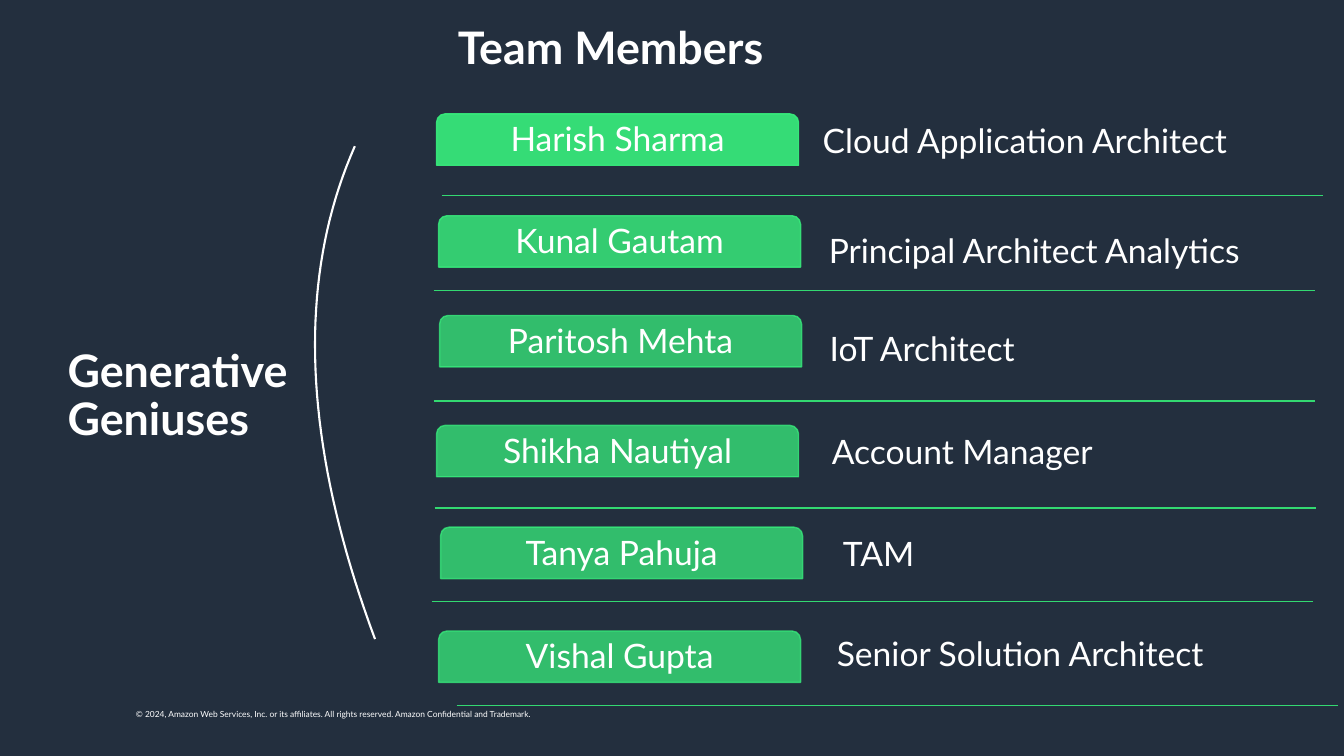
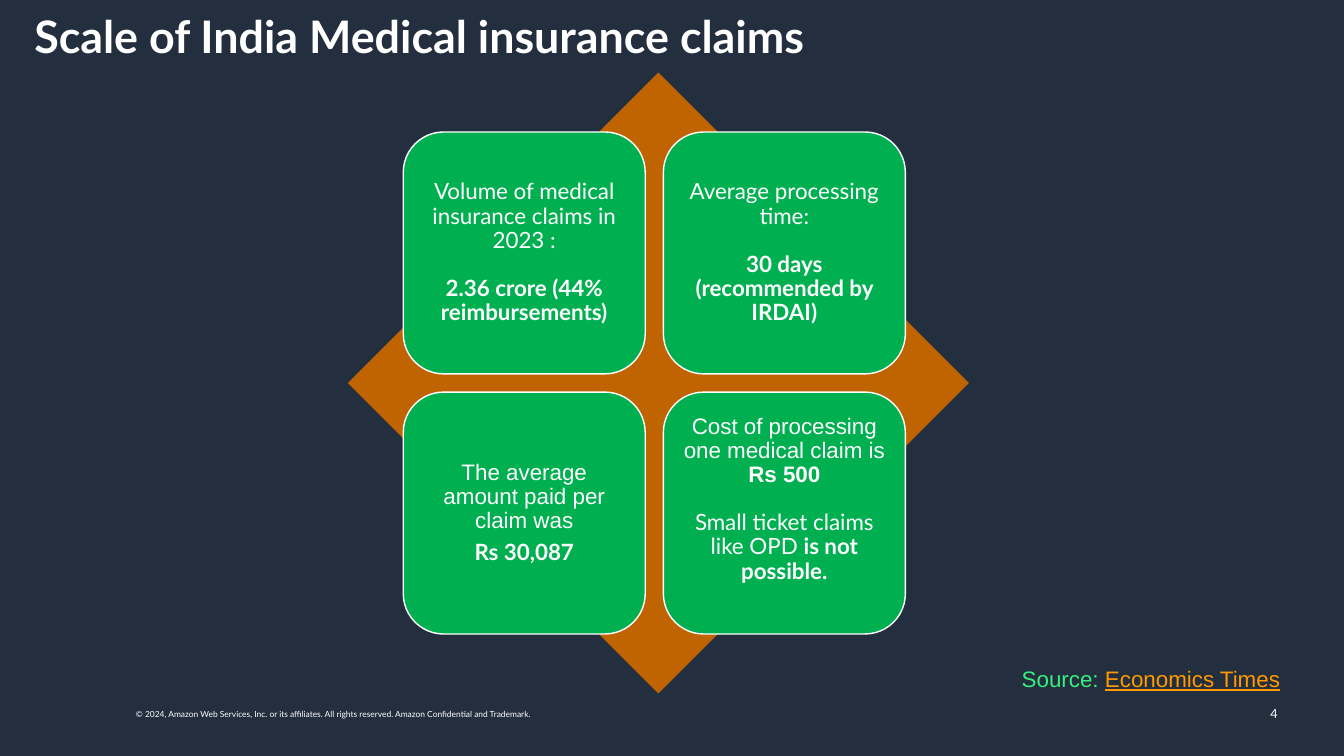
from lxml import etree
from pptx import Presentation
from pptx.dml.color import RGBColor
from pptx.enum.shapes import MSO_CONNECTOR, MSO_SHAPE as SHAPE
from pptx.enum.text import MSO_ANCHOR as ANCHOR, PP_ALIGN as ALIGN
from pptx.oxml.ns import qn
from pptx.util import Inches, Pt

NAVY = RGBColor(0x23, 0x2F, 0x3E)
WHITE = RGBColor(0xFF, 0xFF, 0xFF)
MINT = RGBColor(0x38, 0xEF, 0x7D)
RULE_GREEN = RGBColor(0x33, 0xD9, 0x71)
CARD_GREEN = RGBColor(0x00, 0xB0, 0x50)
RUST = RGBColor(0xBF, 0x64, 0x00)
ORANGE = RGBColor(0xFF, 0x99, 0x00)
LATO, ARIAL = "Lato", "Arial"
COPYRIGHT = ("© 2024, Amazon Web Services, Inc. or its affiliates. "
             "All rights reserved. Amazon Confidential and Trademark.")


def write(shape, paragraphs, size, align=ALIGN.LEFT, anchor=ANCHOR.TOP,
          inset=(0.05, 0.05, 0.05, 0.05), spacing=0.9, gap=0):
    frame = shape.text_frame
    frame.word_wrap = True
    frame.vertical_anchor = anchor
    frame.margin_left, frame.margin_top, frame.margin_right, frame.margin_bottom = map(Inches, inset)
    for index, pieces in enumerate(paragraphs):
        paragraph = frame.add_paragraph() if index else frame.paragraphs[0]
        paragraph.alignment = align
        paragraph.line_spacing = spacing
        if index:
            paragraph.space_before = Pt(gap)
        for text, font, bold, colour in pieces:
            run = paragraph.add_run()
            run.text = text
            run.font.name = font
            run.font.size = Pt(size)
            run.font.bold = bold
            run.font.color.rgb = colour
    return frame


def add_figure(slide, kind, left, top, width, height, fill, line=None):
    figure = slide.shapes.add_shape(kind, Inches(left), Inches(top), Inches(width), Inches(height))
    figure.shadow.inherit = False
    figure.fill.solid()
    figure.fill.fore_color.rgb = fill
    if line is None:
        figure.line.fill.background()
    else:
        figure.line.color.rgb = line
        figure.line.width = Pt(1)
    return figure


prs = Presentation()
prs.slide_width, prs.slide_height = Inches(13.33), Inches(7.5)
master_fill = prs.slide_master.background.fill
master_fill.solid()
master_fill.fore_color.rgb = NAVY
team, claims = [prs.slides.add_slide(prs.slide_layouts[6]) for _ in range(2)]

for slide in (team, claims):
    footer = slide.shapes.add_textbox(Inches(1.25), Inches(6.99), Inches(4.31), Inches(0.2))
    write(footer, [[(COPYRIGHT, LATO, False, WHITE)]], 6, inset=(0.1, 0.05, 0.1, 0.05), spacing=1)

headings = [
    (team, "Generative Geniuses", 0.67, 3.41, 4, 1.07),
    (team, "Team Members", 4.54, 0.21, 4.25, 0.59),
    (claims, "Scale of India Medical insurance claims", 0.34, 0.1, 12, 0.59),
]
for slide, text, *place in headings:
    heading = slide.shapes.add_textbox(*map(Inches, place))
    write(heading, [[(text, LATO, True, WHITE)]], 32, inset=(0, 0.05, 0, 0.05))

members = [
    ("Harish Sharma", 4.33, 1.13, 90, "Cloud Application Architect", 8.11, 1.13, 4.38, 1.94),
    ("Kunal Gautam", 4.35, 2.14, 82, "Principal Architect Analytics", 8.17, 2.23, 4.3, 2.88),
    ("Paritosh Mehta", 4.36, 3.13, 74, "IoT Architect", 8.18, 3.2, 4.3, 3.98),
    ("Shikha Nautiyal", 4.33, 4.22, 74, "Account Manager", 8.2, 4.22, 4.31, 5.04),
    ("Tanya Pahuja", 4.37, 5.23, 74, "TAM", 8.31, 5.23, 4.28, 5.97),
    ("Vishal Gupta", 4.35, 6.26, 74, "Senior Solution Architect", 8.25, 6.22, 4.53, 7),
]
for name, tab_left, tab_top, opacity, role, role_left, role_top, rule_left, rule_y in members:
    rule = team.shapes.add_connector(MSO_CONNECTOR.STRAIGHT, Inches(rule_left), Inches(rule_y),
                                     Inches(rule_left + 8.74), Inches(rule_y))
    rule.line.color.rgb = RULE_GREEN
    rule.line.width = Pt(1)
    etree.SubElement(rule._element.spPr, qn("a:effectLst"))

    tab = add_figure(team, SHAPE.ROUND_2_SAME_RECTANGLE, tab_left, tab_top, 3.59, 0.51, MINT, MINT)
    for colour in tab._element.spPr.iter(qn("a:srgbClr")):
        etree.SubElement(colour, qn("a:alpha")).set("val", str(opacity * 1000))
    write(tab, [[(name, LATO, False, WHITE)]], 24, ALIGN.CENTER, ANCHOR.MIDDLE)

    role_label = team.shapes.add_textbox(Inches(role_left), Inches(role_top), Inches(4.6), Inches(0.51))
    write(role_label, [[(role, LATO, False, WHITE)]], 24, anchor=ANCHOR.BOTTOM)

bracket_top, bracket_bend, bracket_bottom = (3.52, 1.45), (2.64, 3.44), (3.72, 6.34)
STEPS = 40
bracket_points = []
for step in range(STEPS + 1):
    t = step / STEPS
    bracket_points.append(tuple(
        Inches((1 - t) ** 2 * start + 2 * t * (1 - t) * bend + t ** 2 * end)
        for start, bend, end in zip(bracket_top, bracket_bend, bracket_bottom)))
outline = team.shapes.build_freeform(*bracket_points[0])
outline.add_line_segments(bracket_points[1:], close=False)
bracket = outline.convert_to_shape()
bracket.shadow.inherit = False
bracket.fill.background()
bracket.line.color.rgb = WHITE
bracket.line.width = Pt(1.5)

add_figure(claims, SHAPE.DIAMOND, 3.45, 0.72, 6.16, 6.16, RUST)

facts = [
    ([[("Volume of medical insurance claims in 2023 :", LATO, False, WHITE)],
      [("2.36 crore (44% reimbursements)", LATO, True, WHITE)]], 17, 0.07),
    ([[("Average processing time:", LATO, False, WHITE)],
      [("30 days (recommended by IRDAI)", LATO, True, WHITE)]], 17, 0.07),
    ([[("The average amount paid per claim was", ARIAL, False, WHITE)],
      [("Rs 30,087", LATO, True, WHITE)]], 5.6, 0.07),
    ([[("Cost of processing one medical claim is ", ARIAL, False, WHITE),
       ("Rs 500", ARIAL, True, WHITE)],
      [("Small ticket claims like OPD ", LATO, False, WHITE),
       ("is not possible.", LATO, True, WHITE)]], 17, 0.34),
]
for index, (paragraphs, gap, bottom) in enumerate(facts):
    row, column = divmod(index, 2)
    card = add_figure(claims, SHAPE.ROUNDED_RECTANGLE, 4 + 2.58 * column, 1.31 + 2.58 * row,
                      2.4, 2.4, CARD_GREEN, WHITE)
    write(card, paragraphs, 16, ALIGN.CENTER, ANCHOR.MIDDLE, (0.07, 0.07, 0.07, bottom), gap=gap)

source = claims.shapes.add_textbox(Inches(9.63), Inches(6.58), Inches(3.57), Inches(0.35))
source_frame = write(source, [[("Source: ", ARIAL, False, MINT), ("Economics Times", ARIAL, False, ORANGE)]],
                     16, ALIGN.CENTER, inset=(0, 0.05, 0, 0.05))
source_frame.paragraphs[0].runs[1].font.underline = True

page_number = claims.shapes.add_textbox(Inches(9.77), Inches(6.88), Inches(3), Inches(0.4))
write(page_number, [[("4", LATO, False, WHITE)]], 9, ALIGN.RIGHT, ANCHOR.MIDDLE,
      (0.1, 0.05, 0.1, 0.05), spacing=1)

prs.save("out.pptx")
